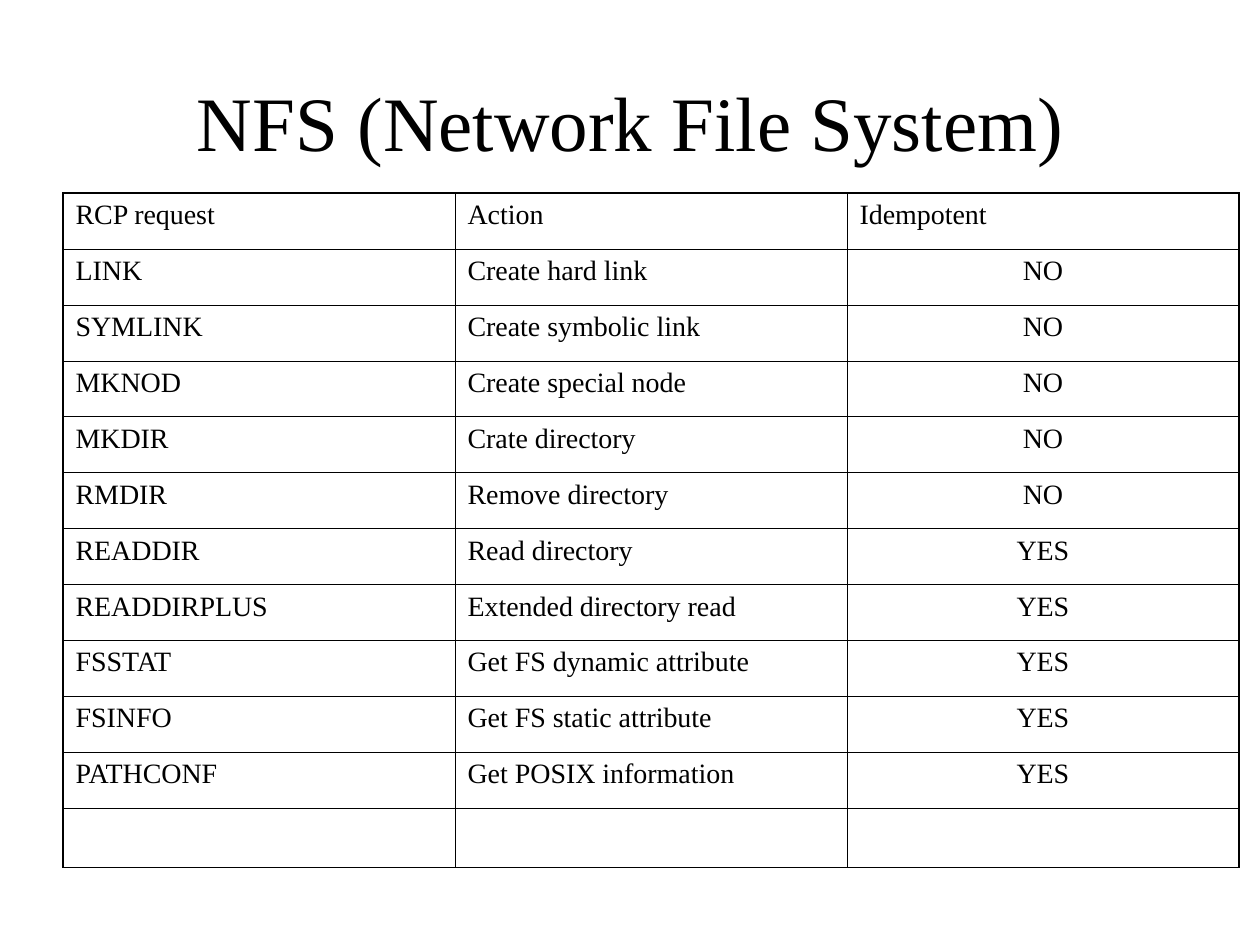
import pptx
import pptx.dml.color
import pptx.enum.text
import pptx.oxml.ns
import pptx.util
from lxml import etree

PX = 914400 // 126
FONT = "Times New Roman"
BLACK = pptx.dml.color.RGBColor(0x00, 0x00, 0x00)
CENTER = pptx.enum.text.PP_ALIGN.CENTER
LEFT = pptx.enum.text.PP_ALIGN.LEFT
MIDDLE = pptx.enum.text.MSO_ANCHOR.MIDDLE
THIN, THICK = 0.45, 1.08
ROW_HEIGHT, LAST_ROW_HEIGHT, COLUMN_WIDTH = 56, 59, 392

REQUESTS = [
    ("RCP request", "Action", "Idempotent"),
    ("LINK", "Create hard link", "NO"),
    ("SYMLINK", "Create symbolic link", "NO"),
    ("MKNOD", "Create special node", "NO"),
    ("MKDIR", "Crate directory", "NO"),
    ("RMDIR", "Remove directory", "NO"),
    ("READDIR", "Read directory", "YES"),
    ("READDIRPLUS", "Extended directory read", "YES"),
    ("FSSTAT", "Get FS dynamic attribute", "YES"),
    ("FSINFO", "Get FS static attribute", "YES"),
    ("PATHCONF", "Get POSIX information", "YES"),
    ("", "", ""),
]


def px(length):
    return pptx.util.Emu(length * PX)


def write(frame, text, size, alignment):
    frame.text = text
    para = frame.paragraphs[0]
    para.alignment = alignment
    for span in para.runs:
        span.font.name = FONT
        span.font.size = pptx.util.Pt(size)
        span.font.color.rgb = BLACK


def add_title(page, text):
    title = page.shapes.title
    title.left, title.top, title.width, title.height = map(px, (95, 84, 1071, 73))
    title.text_frame.vertical_anchor = MIDDLE
    title.text_frame.auto_size = pptx.enum.text.MSO_AUTO_SIZE.NONE
    write(title.text_frame, text, 44, CENTER)


def draw_border(cell, side, points):
    """Draw one side, L, R, T or B, of a cell."""
    qn = pptx.oxml.ns.qn
    line = etree.SubElement(cell._tc.get_or_add_tcPr(), qn(f"a:ln{side}"),
                            w=str(pptx.util.Pt(points)))
    fill = etree.SubElement(line, qn("a:solidFill"))
    etree.SubElement(fill, qn("a:srgbClr"), val=str(BLACK))


def add_request_table(page):
    """Add the table, with a thick outer frame and thin inner lines."""
    last_row, last_column = len(REQUESTS) - 1, len(REQUESTS[0]) - 1
    table = page.shapes.add_table(
        last_row + 1, last_column + 1, px(63), px(193),
        px(COLUMN_WIDTH * (last_column + 1)),
        px(ROW_HEIGHT * last_row + LAST_ROW_HEIGHT)).table
    table.first_row = table.horz_banding = False
    for column in table.columns:
        column.width = px(COLUMN_WIDTH)
    for r, texts in enumerate(REQUESTS):
        table.rows[r].height = px(LAST_ROW_HEIGHT if r == last_row else ROW_HEIGHT)
        for c, text in enumerate(texts):
            cell = table.cell(r, c)
            centered = r > 0 and c == last_column
            write(cell.text_frame, text, 16, CENTER if centered else LEFT)
            outer = {"L": c == 0, "R": c == last_column,
                     "T": r == 0, "B": r == last_row}
            for side, is_outer in outer.items():
                draw_border(cell, side, THICK if is_outer else THIN)
            cell.fill.background()


def main():
    deck = pptx.Presentation()
    deck.slide_width, deck.slide_height = px(1260), px(945)
    page = deck.slides.add_slide(deck.slide_layouts[5])
    add_title(page, "NFS (Network File System)")
    add_request_table(page)
    deck.save("out.pptx")


if __name__ == "__main__":
    main()
